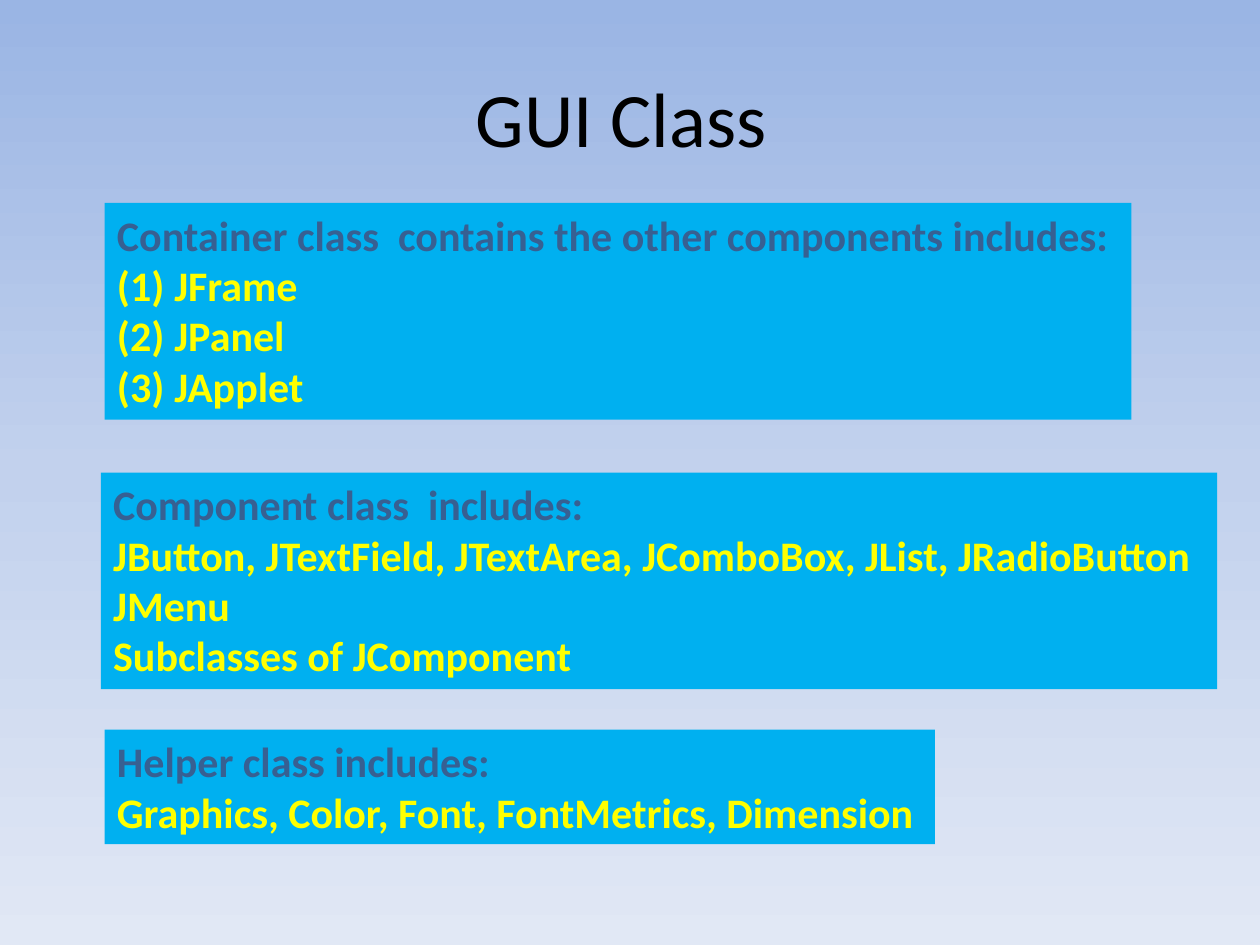
from copy import deepcopy

from lxml.etree import SubElement
from pptx import Presentation
from pptx.dml.color import RGBColor
from pptx.enum.text import MSO_ANCHOR as Anchor, MSO_AUTO_SIZE as Fit, PP_ALIGN as Align
from pptx.oxml.ns import qn
from pptx.util import Inches, Pt

COLORS = {
    "sky": ["9AB5E4", "C2D1ED", "E1E8F5"],
    "box": "00B0F0",
    "head": "376092",
    "item": "FFFF00",
    "title": "000000",
}

# left, top, width, height, heading, items, numbered
BOXES = [
    (0.83, 1.61, 8.15, 1.72, "Container class  contains the other components includes:",
     [" JFrame", " JPanel", " JApplet"], True),
    (0.8, 3.75, 8.86, 1.72, "Component class  includes:",
     ["JButton, JTextField, JTextArea, JComboBox, JList, JRadioButton",
      "JMenu", "Subclasses of JComponent"], False),
    (0.83, 5.79, 6.59, 0.91, "Helper class includes:",
     ["Graphics, Color, Font, FontMetrics, Dimension"], False),
]


def write(para, text, color, size=24, bold=False, align=Align.LEFT):
    para.alignment = align
    run = para.add_run()
    run.text = text
    font = run.font
    font.name, font.size, font.bold = "Calibri", Pt(size), bold
    font.color.rgb = RGBColor.from_string(COLORS[color])


def number(para):
    """Number a paragraph as (1), (2), ... with a hanging indent."""
    props = para._p.get_or_add_pPr()
    props.set("marL", str(Inches(0.38)))
    props.set("indent", str(-Inches(0.38)))
    SubElement(props, qn("a:buFontTx"))
    SubElement(props, qn("a:buAutoNum"), type="arabicParenBoth")


def paint_sky(slide):
    fill = slide.background.fill
    fill.gradient()
    fill.gradient_angle = 270
    # The default gradient has two stops; a third goes in the middle
    first = slide._element.find(".//" + qn("a:gs"))
    first.addnext(deepcopy(first))
    for i, (stop, color) in enumerate(zip(fill.gradient_stops, COLORS["sky"])):
        stop.position = i / 2
        stop.color.rgb = RGBColor.from_string(color)


def add_title(slide, text):
    title = slide.shapes.title
    title.left, title.top = Inches(0.5), Inches(0.3)
    title.width, title.height = Inches(9), Inches(1.25)
    frame = title.text_frame
    frame.vertical_anchor = Anchor.MIDDLE
    write(frame.paragraphs[0], text, "title", size=44, align=Align.CENTER)


def add_box(slide, left, top, width, height, head, items, numbered):
    box = slide.shapes.add_textbox(*map(Inches, (left, top, width, height)))
    box.fill.solid()
    box.fill.fore_color.rgb = RGBColor.from_string(COLORS["box"])
    frame = box.text_frame
    frame.word_wrap = False
    frame.auto_size = Fit.SHAPE_TO_FIT_TEXT
    write(frame.paragraphs[0], head, "head", bold=True)
    for item in items:
        para = frame.add_paragraph()
        write(para, item, "item", bold=True)
        if numbered:
            number(para)


def main():
    deck = Presentation()
    deck.slide_width, deck.slide_height = Inches(10), Inches(7.5)
    slide = deck.slides.add_slide(deck.slide_layouts[5])
    paint_sky(slide)
    add_title(slide, "GUI Class ")
    for box in BOXES:
        add_box(slide, *box)
    deck.save("out.pptx")


if __name__ == "__main__":
    main()
